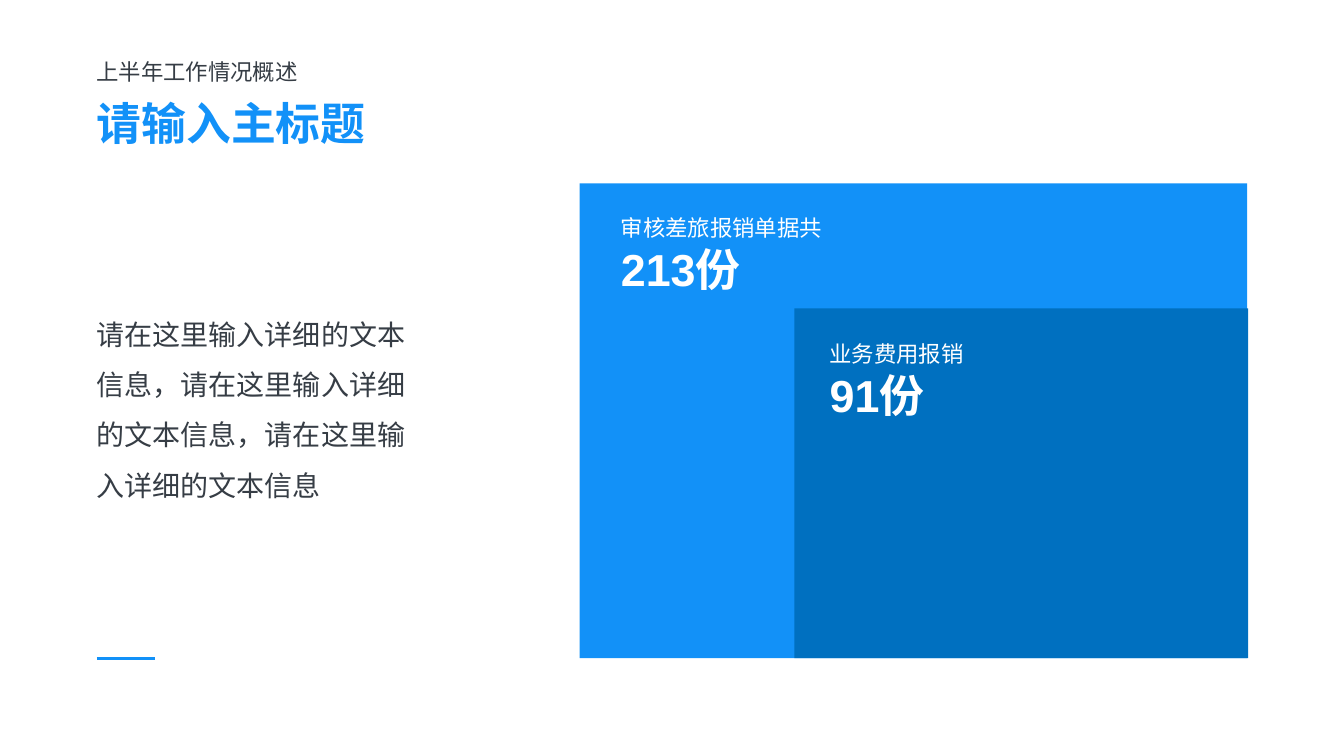
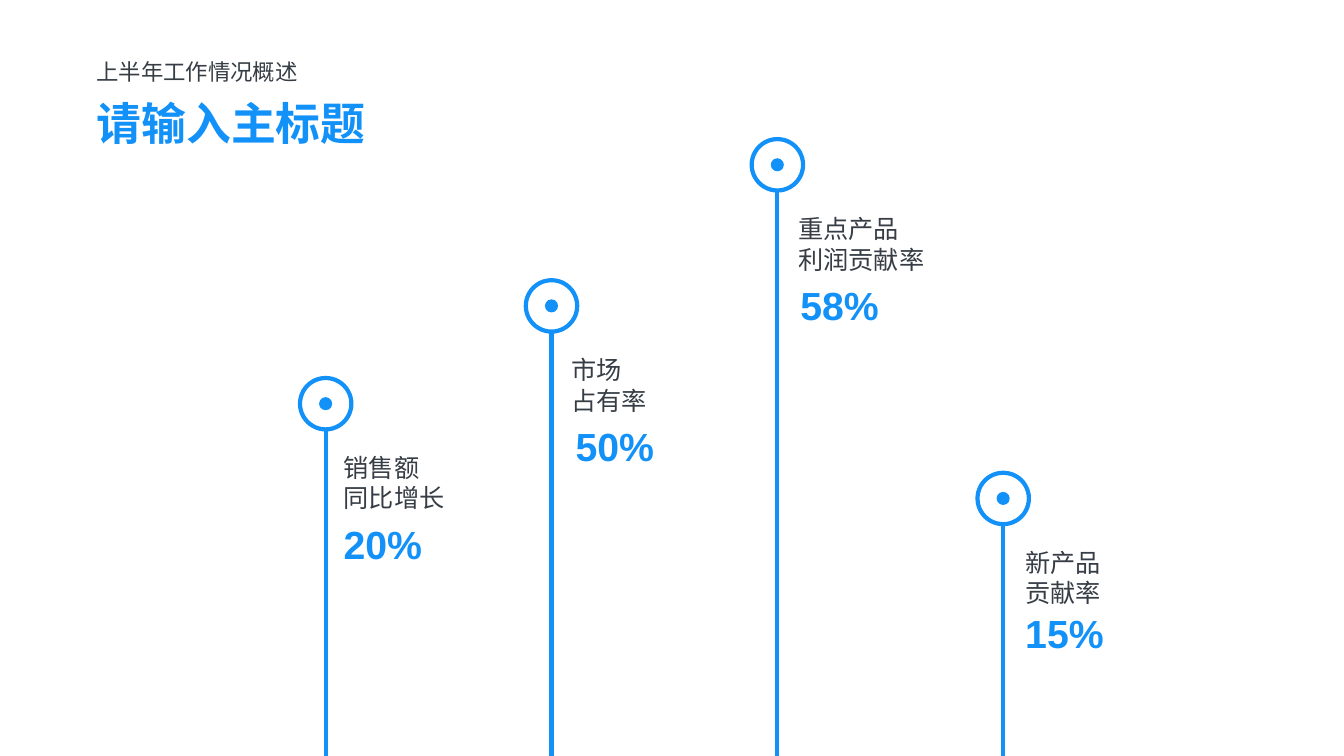
from lxml import etree
from pptx import Presentation
from pptx.dml.color import RGBColor
from pptx.enum.shapes import MSO_CONNECTOR, MSO_SHAPE
from pptx.enum.text import MSO_AUTO_SIZE, PP_ALIGN
from pptx.oxml.ns import qn
from pptx.util import Inches, Pt

RECT, OVAL = MSO_SHAPE.RECTANGLE, MSO_SHAPE.OVAL
LINE = MSO_CONNECTOR.STRAIGHT
GROW = MSO_AUTO_SIZE.SHAPE_TO_FIT_TEXT
LEFT, JUST = PP_ALIGN.LEFT, PP_ALIGN.JUSTIFY

COLORS = {"blue": "1291F8", "deep": "0070C0", "ink": "363D45", "white": "FFFFFF"}
LATIN, ASIAN = "Arial", "Noto Sans CJK SC"


def style(size, color, bold=False, **para):
    font = {"size": Pt(size), "bold": bold, "name": LATIN}
    return {"color": color, "font": font, "para": {"alignment": LEFT, **para}}


STYLES = {
    "kicker": style(16, "ink"),
    "title": style(32, "blue", True),
    "body": style(20, "ink", alignment=JUST, line_spacing=1.5),
    "note": style(16, "white"),
    "count": style(32, "white", True),
    "label": style(18, "ink"),
    "rate": style(28, "blue", True, line_spacing=0.8),
}

BODY = ["请在这里输入详细的文本", "信息，请在这里输入详细", "的文本信息，请在这里输", "入详细的文本信息"]

FIRST, PITCH, RING, DOT, FLOOR = 3.23, 2.24, 0.51, 0.13, 7.5
PINS = [
    (3.75, ["销售额", "同比增长"], (3.31, 4.44, 1.21), "20%", (3.31, 5.2)),
    (2.78, ["市场", "占有率"], (5.57, 3.47, 0.96), "50%", (5.61, 4.23)),
    (1.38, ["重点产品", "利润贡献率"], (7.82, 2.07, 1.46), "58%", (7.84, 2.83)),
    (4.69, ["新产品", "贡献率"], (10.07, 5.38, 0.96), "15%", (10.07, 6.09)),
]


def rgb(name):
    return RGBColor.from_string(COLORS[name])


def apply(target, values):
    for name, value in values.items():
        setattr(target, name, value)


def add_text(slide, box, rows, wrap=False):
    frame = slide.shapes.add_textbox(*map(Inches, box)).text_frame
    apply(frame, {"word_wrap": wrap, "auto_size": GROW})
    for i, (text, kind) in enumerate(rows):
        para = frame.add_paragraph() if i else frame.paragraphs[0]
        look = STYLES[kind]
        apply(para, look["para"])
        run = para.add_run()
        run.text = text
        apply(run.font, look["font"])
        run.font.color.rgb = rgb(look["color"])
        etree.SubElement(run._r.get_or_add_rPr(), qn("a:ea"), typeface=ASIAN)


def add_shape(slide, kind, box, fill=None, line=None):
    shape = slide.shapes.add_shape(kind, *map(Inches, box))
    shape.shadow.inherit = False
    if fill:
        shape.fill.solid()
        shape.fill.fore_color.rgb = rgb(fill)
    else:
        shape.fill.background()
    if line:
        shape.line.color.rgb = rgb(line)
        shape.line.width = Pt(3)
    else:
        shape.line.fill.background()


def add_line(slide, start, end, width):
    line = slide.shapes.add_connector(LINE, *map(Inches, start + end))
    line.line.color.rgb = rgb("blue")
    line.line.width = Pt(width)
    etree.SubElement(line._element.spPr, qn("a:effectLst"))


def add_disc(slide, x, y, size, **paint):
    add_shape(slide, OVAL, (x - size / 2, y - size / 2, size, size), **paint)


def add_head(slide):
    add_text(slide, (0.86, 0.53, 2.22, 0.37), [("上半年工作情况概述", "kicker")])
    add_text(slide, (0.86, 0.9, 2.89, 0.64), [("请输入主标题", "title")])


def add_panel(slide, box, fill, spot, note, count, wrap=False):
    add_shape(slide, RECT, box, fill=fill)
    add_text(slide, spot, [(note, "note"), (count, "count")], wrap)


def add_pin(slide, x, top, names, spot, rate, place):
    y = top + RING / 2
    add_disc(slide, x, y, RING, line="blue")
    add_disc(slide, x, y, DOT, fill="blue")
    add_line(slide, (x, FLOOR), (x, top + RING), 3)
    add_text(slide, (*spot, 0.71), [(name, "label") for name in names])
    add_text(slide, (*place, 0.99, 0.48), [(rate, "rate")])


def build_counts(slide):
    add_head(slide)
    add_text(slide, (0.86, 2.93, 3.32, 2.12), [(row, "body") for row in BODY], True)
    add_panel(slide, (5.75, 1.82, 6.62, 4.71), "blue",
              (6.06, 2.08, 2.22, 0.91), "审核差旅报销单据共", "213份")
    add_panel(slide, (7.88, 3.06, 4.5, 3.47), "deep",
              (8.13, 3.33, 3.76, 0.91), "业务费用报销", "91份", True)
    add_line(slide, (0.96, 6.53), (1.54, 6.53), 2.25)


def build_rates(slide):
    add_head(slide)
    for i, pin in enumerate(PINS):
        add_pin(slide, FIRST + i * PITCH, *pin)


def main():
    deck = Presentation()
    apply(deck, {"slide_width": Inches(13.33), "slide_height": Inches(7.5)})
    for build in (build_counts, build_rates):
        build(deck.slides.add_slide(deck.slide_layouts[6]))
    deck.save("out.pptx")


if __name__ == "__main__":
    main()
